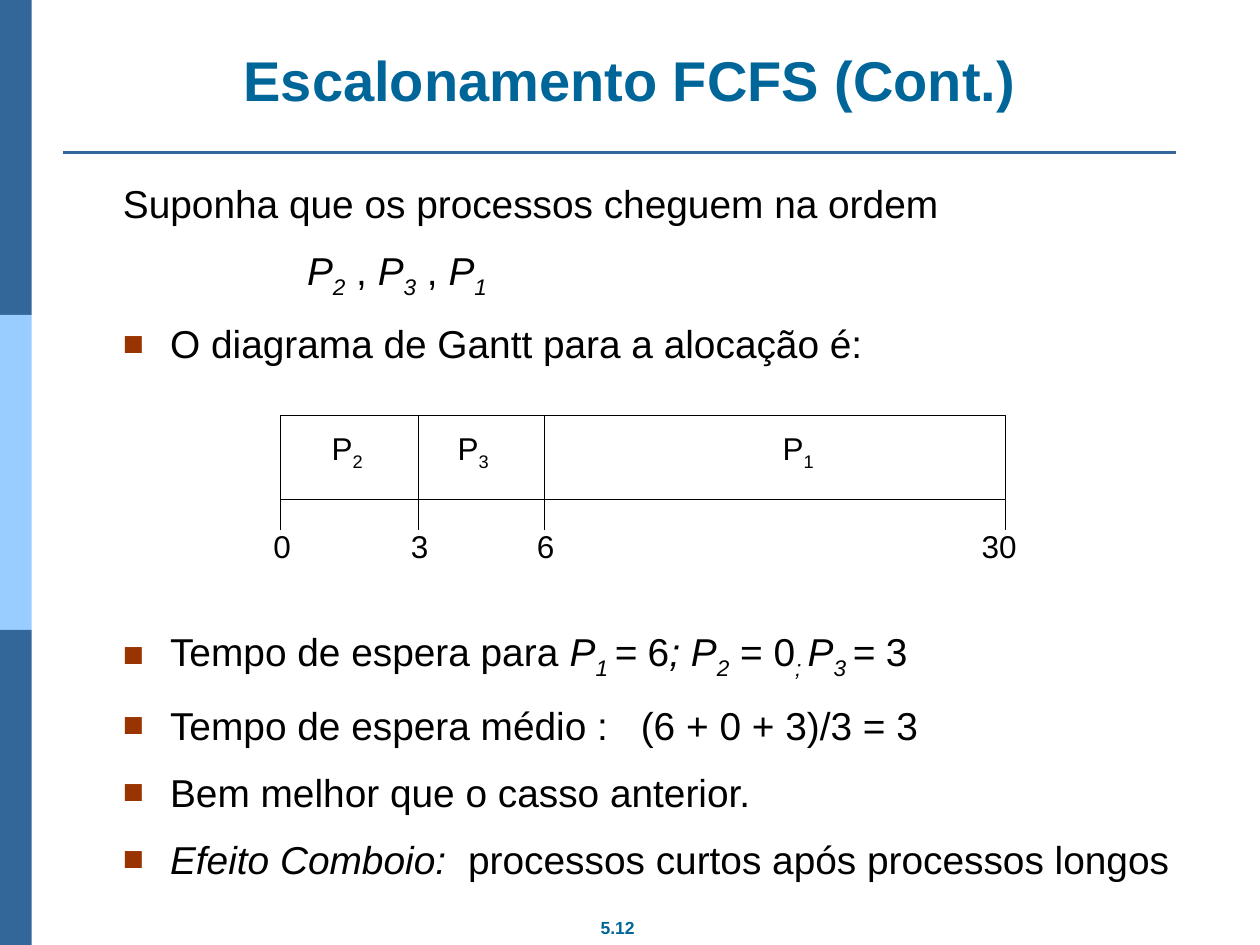
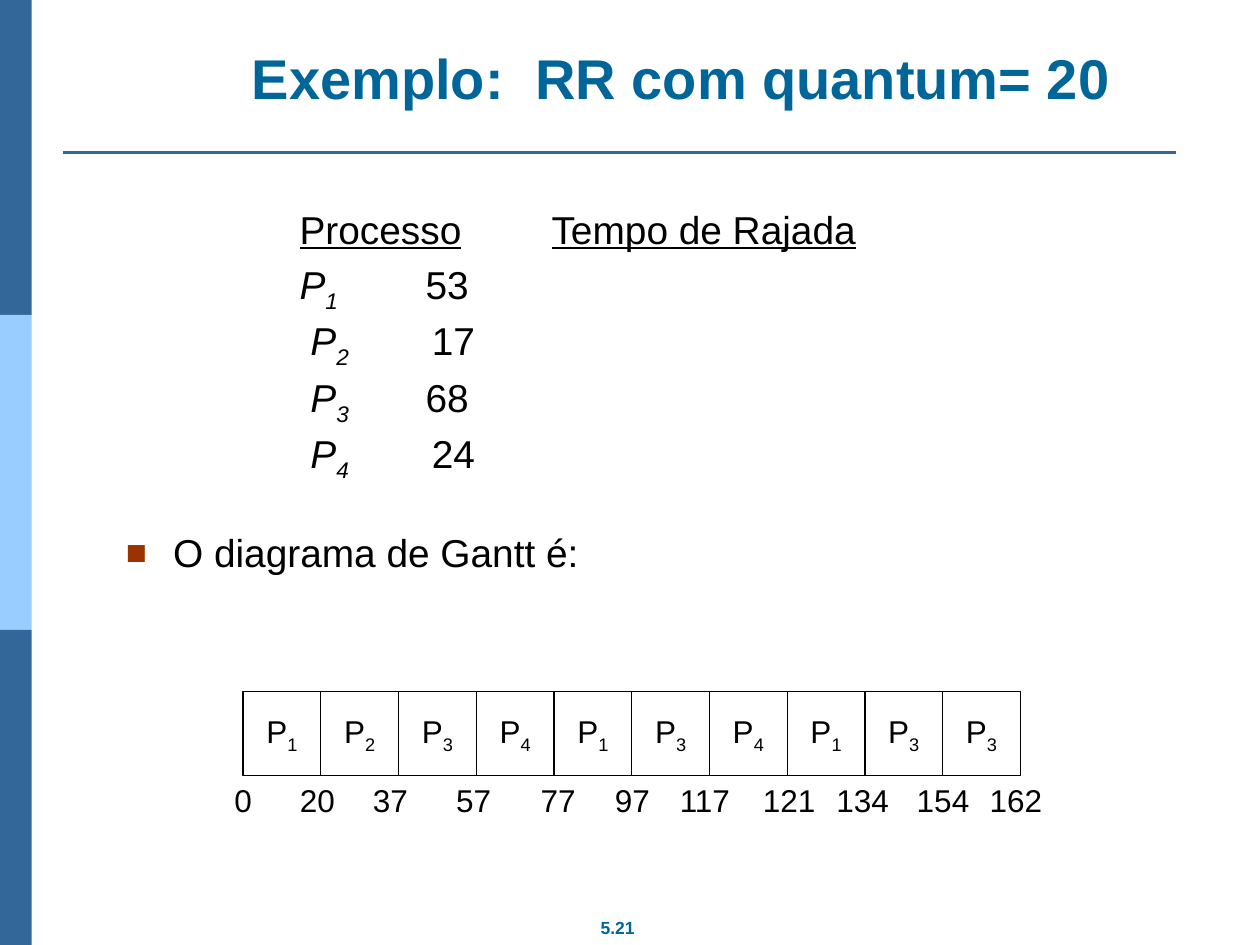
from dataclasses import dataclass

from lxml import etree
from pptx import Presentation
from pptx.dml.color import RGBColor
from pptx.enum.shapes import MSO_CONNECTOR, MSO_SHAPE
from pptx.enum.text import MSO_ANCHOR, PP_ALIGN
from pptx.oxml.ns import qn
from pptx.util import Cm, Pt

RECTANGLE = MSO_SHAPE.RECTANGLE
STRAIGHT = MSO_CONNECTOR.STRAIGHT
LEFT, CENTER = PP_ALIGN.LEFT, PP_ALIGN.CENTER
TOP, MIDDLE, BOTTOM = MSO_ANCHOR.TOP, MSO_ANCHOR.MIDDLE, MSO_ANCHOR.BOTTOM


@dataclass(frozen=True)
class Theme:
    font: str = "Arial"
    title: str = "006699"
    band: str = "336699"
    light_band: str = "99CCFF"
    bullet: str = "993300"
    ink: str = "000000"
    paper: str = "FFFFFF"
    title_size: float = 32
    body_size: float = 22.2
    label_size: float = 18
    footer_size: float = 10
    thin: float = 0.75
    rule: float = 1.5


THEME = Theme()


def rgb(value):
    return RGBColor.from_string(value)


def add_text(paragraph, text, size=THEME.body_size, color=THEME.ink, bold=False,
             italic=False, underline=False, subscript=False, spacing=0):
    run = paragraph.add_run()
    run.text = text
    font = run.font
    font.name, font.size, font.bold, font.italic = THEME.font, Pt(size), bold, italic
    font.underline = underline
    font.color.rgb = rgb(color)
    properties = run._r.get_or_add_rPr()
    if subscript:
        properties.set("baseline", "-25000")
    if spacing:
        properties.set("spc", str(round(spacing * 100)))


def process(number, italic=False):
    return [("P", dict(italic=italic)), (str(number), dict(italic=italic, subscript=True))]


class Deck:
    def __init__(self, theme):
        self.theme = theme
        self.presentation = Presentation()
        self.presentation.slide_width = Cm(25.4)
        self.presentation.slide_height = Cm(19.05)
        self.slide = None

    def start_slide(self, title, title_box, number):
        theme = self.theme
        self.slide = self.presentation.slides.add_slide(self.presentation.slide_layouts[6])
        for row, color in enumerate((theme.band, theme.light_band, theme.band)):
            self.rectangle(0, row * 6.35, 0.64, 6.35, color)
        self.line(1.27, 3.07, 23.7, 3.07, theme.band, theme.rule)
        footer = self.text_frame(11.2, 18.36, 2.5, 0.69, wrap=False)
        self.paragraph(footer, [(number, {})], align=CENTER, size=theme.footer_size,
                       color=theme.title, bold=True)
        heading = self.text_frame(*title_box, anchor=BOTTOM)
        self.paragraph(heading, title, align=CENTER, size=theme.title_size,
                       color=theme.title, bold=True)

    def rectangle(self, left, top, width, height, fill, outline=None):
        shape = self.slide.shapes.add_shape(RECTANGLE, Cm(left), Cm(top), Cm(width), Cm(height))
        shape.shadow.inherit = False
        shape.fill.solid()
        shape.fill.fore_color.rgb = rgb(fill)
        if outline:
            shape.line.color.rgb = rgb(outline)
            shape.line.width = Pt(self.theme.thin)
        else:
            shape.line.fill.background()
        return shape

    def line(self, x1, y1, x2, y2, color=THEME.ink, width=THEME.thin):
        connector = self.slide.shapes.add_connector(STRAIGHT, Cm(x1), Cm(y1), Cm(x2), Cm(y2))
        connector.line.color.rgb = rgb(color)
        connector.line.width = Pt(width)
        etree.SubElement(connector._element.spPr, qn("a:effectLst"))

    def text_frame(self, left, top, width, height, anchor=TOP, wrap=True):
        box = self.slide.shapes.add_textbox(Cm(left), Cm(top), Cm(width), Cm(height))
        frame = box.text_frame
        frame.word_wrap = wrap
        frame.vertical_anchor = anchor
        return frame

    def paragraph(self, frame, runs, align=LEFT, before=0, line_spacing=None, indent=0,
                  bullet=False, tabs=(), **style):
        paragraph = frame.paragraphs[0]
        if paragraph.runs:
            paragraph = frame.add_paragraph()
        paragraph.alignment = align
        paragraph.space_before = Pt(before)
        if line_spacing:
            paragraph.line_spacing = line_spacing
        properties = paragraph._p.get_or_add_pPr()
        properties.set("marL", str(Cm(indent)))
        properties.set("indent", str(Cm(-indent if bullet else 0)))
        if bullet:
            color = etree.SubElement(properties, qn("a:buClr"))
            etree.SubElement(color, qn("a:srgbClr"), val=self.theme.bullet)
            etree.SubElement(properties, qn("a:buSzPct"), val="90000")
            etree.SubElement(properties, qn("a:buFont"), typeface=self.theme.font)
            etree.SubElement(properties, qn("a:buChar"), char="■")
        if tabs:
            properties.set("defTabSz", str(Cm(tabs[0])))
            stops = etree.SubElement(properties, qn("a:tabLst"))
            for position in tabs:
                etree.SubElement(stops, qn("a:tab"), pos=str(Cm(position)), algn="l")
        for text, extra in runs:
            add_text(paragraph, text, **{**style, **extra})

    def bullet(self, frame, runs, before=11.6):
        self.paragraph(frame, runs, before=before, indent=0.95, bullet=True)

    def label(self, center, top, width, height, runs):
        frame = self.text_frame(center - width / 2, top, width, height, MIDDLE, wrap=False)
        self.paragraph(frame, runs, align=CENTER, size=self.theme.label_size)

    def time_labels(self, top, times):
        for time, center in times:
            self.label(center, top, 0.51 + 0.35 * len(str(time)), 1.02, [(str(time), {})])


def fcfs_slide(deck):
    deck.start_slide([("Escalonamento FCFS (Cont.)", {})], (1.27, 0.8, 22.86, 1.6), "5.12")
    italic, low = dict(italic=True), dict(italic=True, subscript=True)
    body = deck.text_frame(2.23, 3.5, 22.86, 14.35)
    deck.paragraph(body, [("Suponha que os processos cheguem na ordem", {})])
    comma = [(" , ", {})]
    order = process(2, True) + comma + process(3, True) + comma + process(1, True)
    deck.paragraph(body, order, before=11.6, indent=3.71)
    deck.bullet(body, [("O diagrama de Gantt para a alocação é:", {})])
    deck.bullet(body, [
        ("Tempo de espera para ", {}), ("P", italic), ("1 ", low), ("=", italic), (" 6", {}),
        ("; P", italic), ("2", low), (" = 0", {}), ("; ", low), ("P", italic), ("3 ", low),
        ("= ", italic), ("3", {})], before=149.4)
    deck.bullet(body, [("Tempo de espera médio :", {}), (" ", dict(spacing=12.3)),
                       ("(6 + 0 + 3)/3 = 3", {})])
    deck.bullet(body, [("Bem melhor que o casso anterior.", {})])
    deck.bullet(body, [("Efeito Comboio:", italic), (" ", dict(spacing=6.2)),
                       ("processos curtos após processos longos", {})])

    top, bottom, tick_end = 8.38, 10.07, 10.69
    edges = (5.66, 8.43, 10.97, 20.27)
    deck.rectangle(edges[0], top, edges[-1] - edges[0], bottom - top, THEME.paper, THEME.ink)
    for edge in edges:
        deck.line(edge, bottom, edge, tick_end)
    for edge in edges[1:-1]:
        deck.line(edge, top, edge, bottom)
    for number, center in ((2, 7), (3, 9.54), (1, 16.09)):
        deck.label(center, 8.53, 1.14, 1.12, process(number))
    deck.time_labels(10.49, ((0, 5.69), (3, 8.46), (6, 11), (30, 20.14)))


def round_robin_slide(deck):
    title = [("Exemplo:", {}), (" ", dict(spacing=8.9)), ("RR com quantum= 20", {})]
    deck.start_slide(title, (2.54, 0, 22.38, 2.36), "5.21")
    listing = deck.text_frame(5.79, 4.27, 14.6, 6.2)
    underlined = dict(underline=True)
    rows = [[("Processo", underlined), ("\t", {}), ("Tempo de Rajada", underlined)]]
    for number, burst in enumerate((53, 17, 68, 24), start=1):
        lead = [(" ", {})] if number > 1 else []
        gap = "\t " if number % 2 == 0 else "\t"
        rows.append(lead + process(number, True)
                    + [(gap, dict(subscript=True)), (str(burst), {})])
    for row in rows:
        deck.paragraph(listing, row, before=11, line_spacing=0.7, tabs=(2.54, 5.08))
    caption = deck.text_frame(2.29, 10.54, 20.42, 1.2)
    deck.bullet(caption, [("O diagrama de Gantt é:", {})], before=0)

    left, width = 4.9, 15.67 / 10
    for column, number in enumerate((1, 2, 3, 4, 1, 3, 4, 1, 3, 3)):
        cell = deck.rectangle(left + column * width, 13.94, width, 1.69, THEME.paper, THEME.ink)
        cell.text_frame.word_wrap = False
        cell.text_frame.vertical_anchor = MIDDLE
        deck.paragraph(cell.text_frame, process(number), align=CENTER, size=THEME.label_size)
    times = (0, 20, 37, 57, 77, 97, 117, 121, 134, 154, 162)
    centers = (4.9, 6.4, 7.87, 9.55, 11.25, 12.75, 14.21, 15.91, 17.39, 19.01, 20.48)
    deck.time_labels(15.62, zip(times, centers))


def main():
    deck = Deck(THEME)
    fcfs_slide(deck)
    round_robin_slide(deck)
    deck.presentation.save("out.pptx")


if __name__ == "__main__":
    main()
